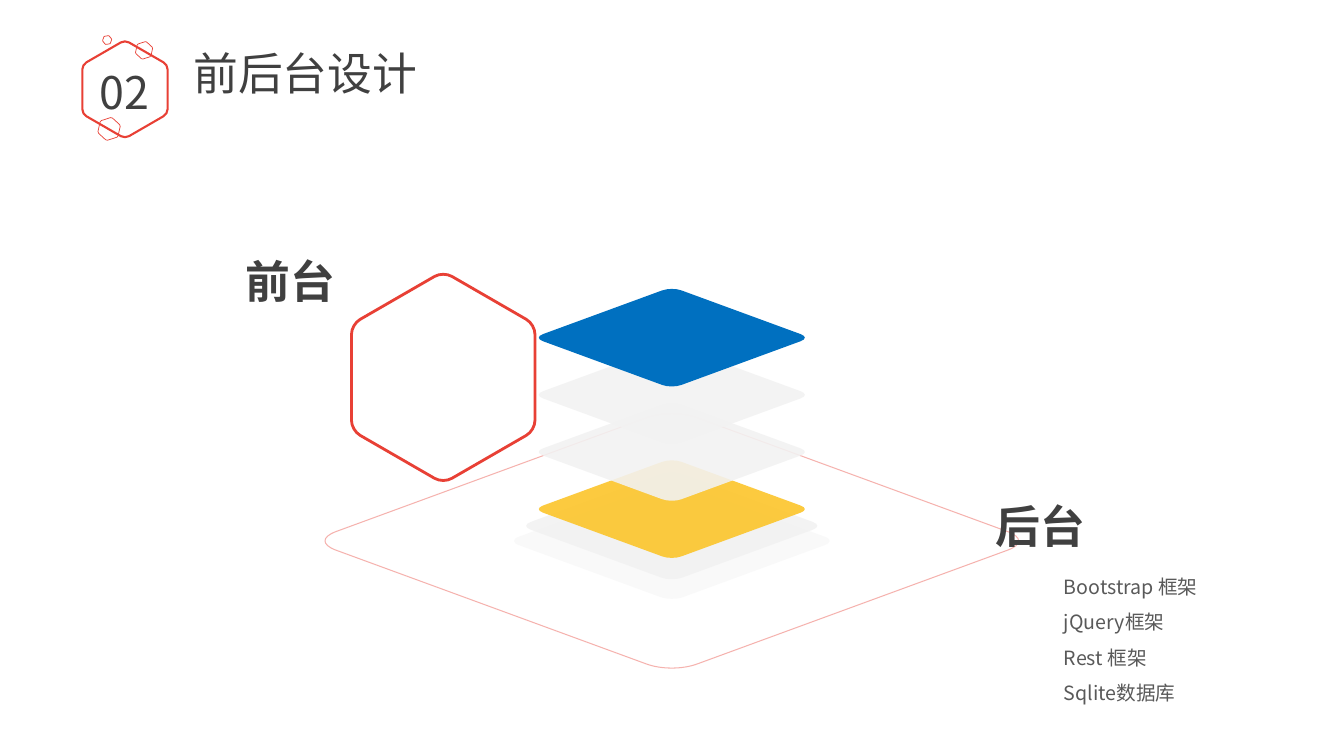
from dataclasses import dataclass
from math import cos, pi, sin

from lxml import etree
from pptx import Presentation
from pptx.dml.color import RGBColor
from pptx.dml.fill import FillFormat
from pptx.enum.text import MSO_AUTO_SIZE as AutoSize, PP_ALIGN as Align
from pptx.oxml.ns import qn
from pptx.util import Cm, Pt

FONT = "Noto Sans CJK SC"
RED, BLUE, YELLOW, PALE = "E84035", "0070C0", "FCC428", "F2F2F2"
DARK, GREY = "404040", "595959"
STACK_X = 16.93
DIAMOND_ASPECT = 11 / 30

Point = tuple[float, float]


@dataclass
class Hexagon:
    x: float
    y: float
    radius: float
    rotation: float
    weight: float


@dataclass
class Diamond:
    y: float
    half_width: float
    color: str
    alpha: int = 100
    weight: float = 0


@dataclass
class Label:
    lines: list[str]
    left: float
    top: float
    width: float
    height: float
    size: int = 32
    color: str = DARK
    align: Align = Align.LEFT
    bold: bool = False
    spacing: float = 1.0


HEXAGONS = [
    Hexagon(3.15, 2.25, 1.24, 270, 1.5),
    Hexagon(2.75, 3.25, 0.3, 42.4, 0.5),
    Hexagon(3.63, 1.27, 0.23, 42.4, 0.5),
    Hexagon(2.7, 1.01, 0.12, 351, 0.5),
    Hexagon(11.17, 9.51, 2.67, 90, 2),
]
LAYER_COLORS = [(YELLOW, 89), (PALE, 89), (PALE, 89), (BLUE, 100)]
DIAMONDS = [
    Diamond(13.63, 9.1, RED, 40, 0.75),
    Diamond(13.63, 4.14, PALE, 45),
    Diamond(13.25, 3.82, PALE, 89),
] + [Diamond(12.83 - 1.44 * i, 3.49, color, alpha)
     for i, (color, alpha) in enumerate(LAYER_COLORS)]
LABELS = [
    Label(["02"], 1.97, 1.5, 2.34, 1.62, align=Align.CENTER),
    Label(["前后台设计"], 4.62, 1.04, 10.87, 1.62),
    Label(["后台"], 24.49, 12.45, 3.45, 1.62, align=Align.CENTER, bold=True),
    Label(["前台"], 5.6, 6.28, 3.45, 1.62, align=Align.CENTER, bold=True),
    Label(["Bootstrap 框架", "jQuery框架", "Rest 框架", "Sqlite数据库"],
          26.56, 14.07, 4.83, 3.73, size=14, color=GREY, spacing=1.5),
]


def paint(fill: FillFormat, color: str, alpha: int = 100) -> None:
    fill.solid()
    fill.fore_color.rgb = RGBColor.from_string(color)
    if alpha < 100:
        srgb = fill._xPr.find(".//" + qn("a:srgbClr"))
        etree.SubElement(srgb, qn("a:alpha"), val=str(alpha * 1000))


def toward(start: Point, end: Point, t: float) -> Point:
    return (start[0] + (end[0] - start[0]) * t,
            start[1] + (end[1] - start[1]) * t)


def round_corners(corners: list[Point], share: float) -> list[Point]:
    """Give each corner four Bezier points, starting at a share of its sides."""
    points = []
    for i, corner in enumerate(corners):
        a = toward(corner, corners[i - 1], share)
        d = toward(corner, corners[(i + 1) % len(corners)], share)
        points += [a, toward(a, corner, 0.58), toward(d, corner, 0.58), d]
    return points


def bend_corners(sp) -> None:
    """Turn the three segments that follow each corner's start into one curve."""
    segments = sp._element.findall(".//" + qn("a:lnTo"))
    for i in range(0, len(segments), 4):
        corner = segments[i:i + 3]
        curve = corner[0].makeelement(qn("a:cubicBezTo"), {})
        corner[0].addprevious(curve)
        for segment in corner:
            curve.append(segment[0])
            segment.getparent().remove(segment)


def add_outline(shapes, points: list[Point], color: str, alpha: int, weight: float):
    """Draw a rounded shape: stroked if it has a weight, filled otherwise."""
    start, *rest = [(Cm(x), Cm(y)) for x, y in points]
    builder = shapes.build_freeform(*start)
    builder.add_line_segments(rest, close=True)
    sp = builder.convert_to_shape()
    bend_corners(sp)
    sp.shadow.inherit = False
    if weight:
        sp.fill.background()
        paint(sp.line.fill, color, alpha)
        sp.line.width = Pt(weight)
    else:
        paint(sp.fill, color, alpha)
        sp.line.fill.background()
    return sp


def add_hexagon(shapes, h: Hexagon) -> None:
    corners = [(h.x + h.radius * cos(k * pi / 3), h.y + h.radius * sin(k * pi / 3))
               for k in range(6)]
    sp = add_outline(shapes, round_corners(corners, 0.095), RED, 100, h.weight)
    sp.rotation = h.rotation


def add_diamond(shapes, d: Diamond) -> None:
    half_height = d.half_width * DIAMOND_ASPECT
    corners = [(STACK_X - d.half_width, d.y), (STACK_X, d.y - half_height),
               (STACK_X + d.half_width, d.y), (STACK_X, d.y + half_height)]
    add_outline(shapes, round_corners(corners, 0.07), d.color, d.alpha, d.weight)


def add_label(shapes, label: Label) -> None:
    box = shapes.add_textbox(Cm(label.left), Cm(label.top),
                             Cm(label.width), Cm(label.height))
    tf = box.text_frame
    tf.word_wrap = True
    tf.auto_size = AutoSize.SHAPE_TO_FIT_TEXT
    for i, line in enumerate(label.lines):
        p = tf.add_paragraph() if i else tf.paragraphs[0]
        p.alignment = label.align
        p.line_spacing = label.spacing
        r = p.add_run()
        r.text = line
        r.font.size = Pt(label.size)
        r.font.bold = label.bold
        r.font.name = FONT
        paint(r.font.fill, label.color)
        latin = r.font._element.find(qn("a:latin"))
        latin.addnext(latin.makeelement(qn("a:ea"), {"typeface": FONT}))


def main() -> None:
    prs = Presentation()
    prs.slide_width, prs.slide_height = Cm(33.87), Cm(19.05)
    shapes = prs.slides.add_slide(prs.slide_layouts[6]).shapes
    for hexagon in HEXAGONS:
        add_hexagon(shapes, hexagon)
    for diamond in DIAMONDS:
        add_diamond(shapes, diamond)
    for label in LABELS:
        add_label(shapes, label)
    prs.save("out.pptx")


if __name__ == "__main__":
    main()
